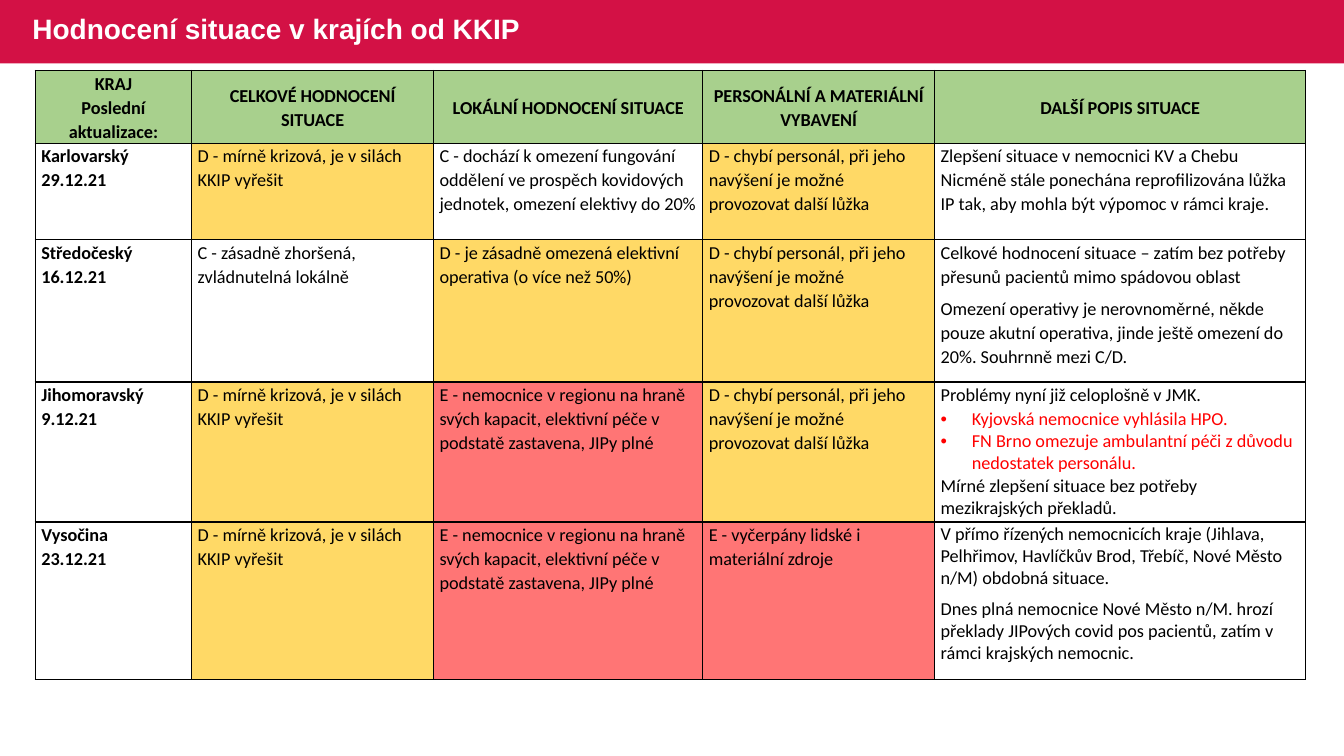
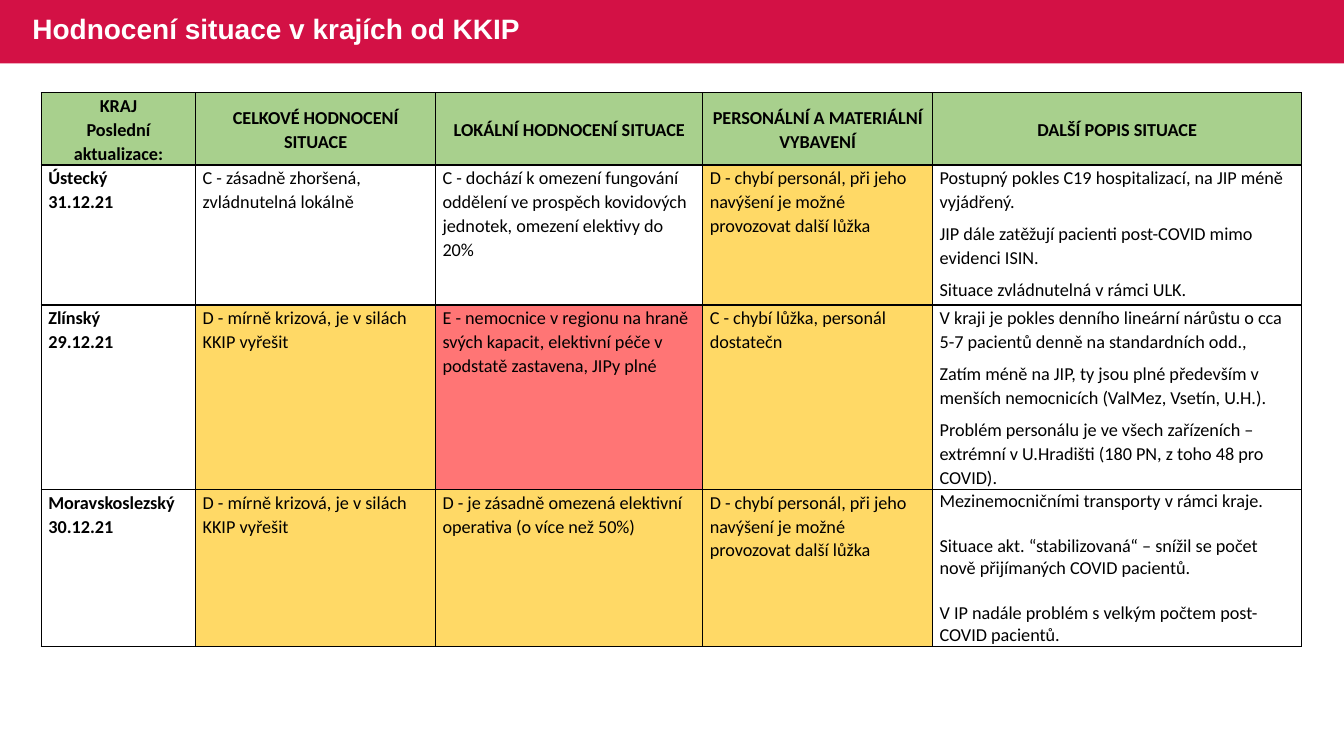
import pptx
import pptx.util
import pptx.dml.color
import pptx.enum.shapes
import pptx.enum.text
import pptx.oxml
import pptx.oxml.ns
from lxml import etree

Inches = pptx.util.Inches
Pt = pptx.util.Pt
RGBColor = pptx.dml.color.RGBColor
PP_ALIGN = pptx.enum.text.PP_ALIGN
MSO_ANCHOR = pptx.enum.text.MSO_ANCHOR
qn = pptx.oxml.ns.qn

CRIMSON = RGBColor(0xD3, 0x11, 0x45)
GREEN = RGBColor(0xA8, 0xD0, 0x8D)
YELLOW = RGBColor(0xFF, 0xD9, 0x66)
SALMON = RGBColor(0xFF, 0x75, 0x75)
RED = RGBColor(0xFF, 0x00, 0x00)
WHITE = RGBColor(0xFF, 0xFF, 0xFF)
BLACK = RGBColor(0x00, 0x00, 0x00)

TITLE = "Hodnocení situace v krajích od KKIP"
BAND_HEIGHT = 0.63
LOOSE = 1.07
BULLET = "•"

HEADINGS = [
    ["KRAJ", "Poslední aktualizace:"],
    ["CELKOVÉ HODNOCENÍ SITUACE"],
    ["LOKÁLNÍ HODNOCENÍ SITUACE"],
    ["PERSONÁLNÍ A MATERIÁLNÍ VYBAVENÍ"],
    ["DALŠÍ POPIS SITUACE"],
]

OVERALL = {
    "C": ("C - zásadně zhoršená, zvládnutelná lokálně", WHITE),
    "D": ("D - mírně krizová, je v silách KKIP vyřešit", YELLOW),
}
LOCAL = {
    "C": ("C - dochází k omezení fungování oddělení ve prospěch kovidových "
          "jednotek, omezení elektivy do 20%", WHITE),
    "D": ("D - je zásadně omezená elektivní operativa (o více než 50%)", YELLOW),
    "E": ("E - nemocnice v regionu na hraně svých kapacit, elektivní péče v "
          "podstatě zastavena, JIPy plné", SALMON),
}
STAFF = {
    "C": ("C - chybí lůžka, personál dostatečn", YELLOW),
    "D": ("D - chybí personál, při jeho navýšení je možné provozovat další lůžka", YELLOW),
    "E": ("E - vyčerpány lidské i materiální zdroje", SALMON),
}

# region, date, grades, gap before paragraphs, number of loosely spaced paragraphs, description
PAGES = [
    {
        "left": 0.35, "top": 0.7, "inset": 0.06,
        "widths": [1.55, 2.4, 2.67, 2.3, 3.68],
        "heights": [0.72, 0.96, 1.41, 1.39, 1.56],
        "regions": [
            ("Karlovarský", "29.12.21", "DCD", 0, 1, [
                "Zlepšení situace v nemocnici KV a Chebu Nicméně stále ponechána "
                "reprofilizována lůžka IP tak, aby mohla být výpomoc v rámci kraje."]),
            ("Středočeský", "16.12.21", "CDD", 6, 2, [
                "Celkové hodnocení situace – zatím bez potřeby přesunů pacientů mimo "
                "spádovou oblast",
                "Omezení operativy je nerovnoměrné, někde pouze akutní operativa, jinde "
                "ještě omezení do 20%. Souhrnně mezi C/D."]),
            ("Jihomoravský", "9.12.21", "DED", 0, 2, [
                "Problémy nyní již celoplošně v JMK.",
                (BULLET, "Kyjovská nemocnice vyhlásila HPO."),
                (BULLET, "FN Brno omezuje ambulantní péči z důvodu nedostatek personálu."),
                "Mírné zlepšení situace bez potřeby mezikrajských překladů."]),
            ("Vysočina", "23.12.21", "DEE", 6, 0, [
                "V přímo řízených nemocnicích kraje (Jihlava, Pelhřimov, Havlíčkův Brod, "
                "Třebíč, Nové Město n/M) obdobná situace.",
                "Dnes plná nemocnice Nové Město n/M. hrozí překlady JIPových covid pos "
                "pacientů, zatím v rámci krajských nemocnic."]),
        ],
    },
    {
        "left": 0.41, "top": 0.92, "inset": 0.07,
        "widths": [1.53, 2.38, 2.65, 2.28, 3.66],
        "heights": [0.71, 1.39, 1.83, 1.55],
        "regions": [
            ("Ústecký", "31.12.21", "CCD", 6, 3, [
                "Postupný pokles C19 hospitalizací, na JIP méně vyjádřený.",
                "JIP dále zatěžují pacienti post-COVID mimo evidenci ISIN.",
                "Situace zvládnutelná v rámci ULK."]),
            ("Zlínský", "29.12.21", "DEC", 6, 3, [
                "V kraji je pokles denního lineární nárůstu o cca 5-7 pacientů denně na "
                "standardních odd.,",
                "Zatím méně na JIP, ty jsou plné především v menších nemocnicích "
                "(ValMez, Vsetín, U.H.).",
                "Problém personálu je ve všech zařízeních – extrémní v U.Hradišti "
                "(180 PN, z toho 48 pro COVID)."]),
            ("Moravskoslezský", "30.12.21", "DDD", 16, 0, [
                "Mezinemocničními transporty v rámci kraje.",
                "Situace akt. “stabilizovaná“ – snížil se počet nově přijímaných COVID pacientů.",
                "V IP nadále problém s velkým počtem post-COVID pacientů."]),
        ],
    },
]


def style_cell(cell, fill, inset):
    cell.fill.solid()
    cell.fill.fore_color.rgb = fill
    cell.margin_left = cell.margin_right = Inches(inset)
    cell.margin_top, cell.margin_bottom = Inches(0.01), 0
    properties = cell._tc.get_or_add_tcPr()
    for index, side in enumerate(["lnL", "lnR", "lnT", "lnB"]):
        border = etree.Element(qn("a:" + side), w=str(Pt(1)))
        solid = etree.SubElement(border, qn("a:solidFill"))
        etree.SubElement(solid, qn("a:srgbClr"), val=str(BLACK))
        properties.insert(index, border)


def write_cell(cell, lines, bold=False, align=PP_ALIGN.LEFT, gap=0, loose=9):
    frame = cell.text_frame
    for index, line in enumerate(lines):
        para = frame.paragraphs[0] if index == 0 else frame.add_paragraph()
        bulleted = isinstance(line, tuple)
        para.text = line[1] if bulleted else line
        if bulleted:
            properties = para._p.get_or_add_pPr()
            properties.set("marL", str(Inches(0.31)))
            properties.set("indent", str(-Inches(0.31)))
            etree.SubElement(properties, qn("a:buFont"), typeface="Arial")
            etree.SubElement(properties, qn("a:buChar"), char=line[0])
        para.alignment = align
        para.line_spacing = LOOSE if index < loose else 1.0
        para.space_before = Pt(gap if index else 0)
        for span in para.runs:
            span.font.name = "Calibri"
            span.font.size = Pt(13)
            span.font.bold = bold
            span.font.color.rgb = RED if bulleted else BLACK


deck = pptx.Presentation()
deck.slide_width, deck.slide_height = Inches(13.33), Inches(7.5)
layout = deck.slide_layouts[5]

for number, content in enumerate(PAGES):
    page = deck.slides.add_slide(layout)
    if number == 0:
        band = page.shapes.add_shape(
            pptx.enum.shapes.MSO_SHAPE.RECTANGLE, 0, 0, deck.slide_width, Inches(BAND_HEIGHT))
        band.shadow.inherit = False
        band.fill.solid()
        band.fill.fore_color.rgb = CRIMSON
        band.line.fill.background()
        layout.shapes.element.insert(2, band.element)

    title = page.shapes.title
    title.left, title.top = Inches(0.22), Inches(-0.01)
    title.width, title.height = Inches(8.14), Inches(BAND_HEIGHT)
    title.text_frame.text = TITLE
    title.text_frame.vertical_anchor = MSO_ANCHOR.MIDDLE
    para = title.text_frame.paragraphs[0]
    para.alignment = PP_ALIGN.LEFT
    para.line_spacing = 0.9
    span = para.runs[0]
    span.font.name = "Arial"
    span.font.size = Pt(20)
    span.font.bold = True
    span.font.color.rgb = WHITE

    widths, heights, inset = content["widths"], content["heights"], content["inset"]
    table = page.shapes.add_table(
        len(heights), len(widths), Inches(content["left"]), Inches(content["top"]),
        Inches(sum(widths)), Inches(sum(heights))).table
    table.horz_banding = False
    table.first_row = False
    for column, width in zip(table.columns, widths):
        column.width = Inches(width)
    for row, height in zip(table.rows, heights):
        row.height = Inches(height)

    for column, heading in enumerate(HEADINGS):
        cell = table.cell(0, column)
        style_cell(cell, GREEN, inset)
        write_cell(cell, heading, bold=True, align=PP_ALIGN.CENTER)
        cell.vertical_anchor = MSO_ANCHOR.MIDDLE

    for row, region in enumerate(content["regions"], start=1):
        name, date, grades, gap, loose, description = region
        style_cell(table.cell(row, 0), WHITE, inset)
        write_cell(table.cell(row, 0), [name, date], bold=True)
        for column, (scale, grade) in enumerate(zip([OVERALL, LOCAL, STAFF], grades), start=1):
            rating, fill = scale[grade]
            style_cell(table.cell(row, column), fill, inset)
            write_cell(table.cell(row, column), [rating])
        style_cell(table.cell(row, 4), WHITE, inset)
        write_cell(table.cell(row, 4), description, gap=gap, loose=loose)

deck.save("out.pptx")
